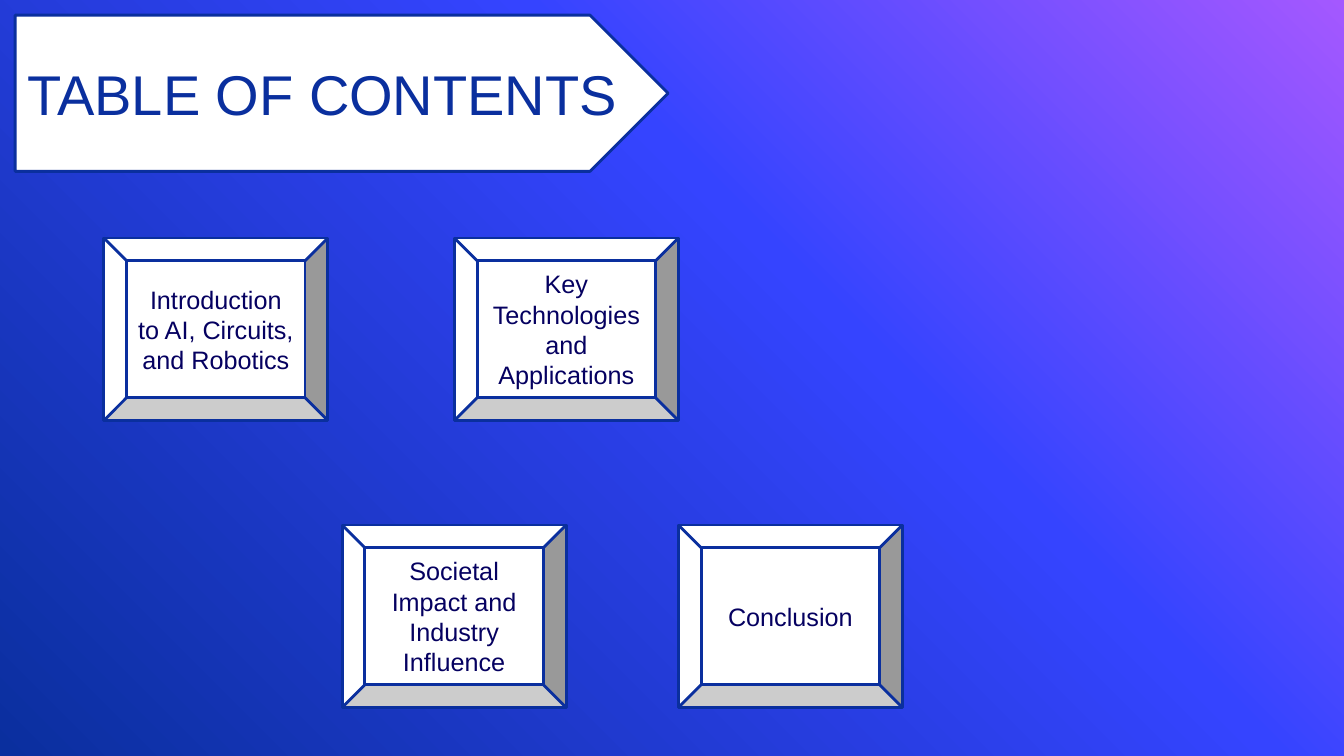
from copy import deepcopy

from pptx import Presentation
from pptx import util as u
from pptx.dml.color import RGBColor
from pptx.enum import shapes, text
from pptx.oxml.ns import qn

NAVY = "0A2F9E"
WHITE = "FFFFFF"
INK = "050060"


def color(value):
    return RGBColor.from_string(value)


def add_panel(page, kind, place, words, size, ink):
    box = page.shapes.add_shape(kind, *(u.Pt(length) for length in place))
    box.shadow.inherit = False
    box.fill.solid()
    box.fill.fore_color.rgb = color(WHITE)
    box.line.color.rgb = color(NAVY)
    box.line.width = u.Pt(2)
    frame = box.text_frame
    frame.word_wrap = True
    frame.vertical_anchor = text.MSO_ANCHOR.MIDDLE
    para = frame.paragraphs[0]
    para.alignment = text.PP_ALIGN.CENTER
    span = para.add_run()
    span.text = words
    span.font.name = "Arial"
    span.font.size = u.Pt(size)
    span.font.color.rgb = color(ink)


deck = Presentation()
deck.slide_width = u.Pt(960)
deck.slide_height = u.Pt(540)
page = deck.slides.add_slide(deck.slide_layouts[6])

# Background gradient, from the top right corner to the bottom left
fill = page.background.fill
fill.gradient()
fill.gradient_angle = 225
stop_list = next(page.element.iter(qn("a:gsLst")))
stop_list.append(deepcopy(stop_list[-1]))
stops = [(0, "A458FF"), (0.39, "3544FF"), (1, NAVY)]
for stop, (position, value) in zip(fill.gradient_stops, stops):
    stop.position = position
    stop.color.rgb = color(value)

# Title arrow
add_panel(page, shapes.MSO_SHAPE.PENTAGON, (10.8, 10.8, 466.5, 111.6),
          "TABLE OF CONTENTS", 40, NAVY)

# Topic buttons, two staggered rows
topics = [
    (74.2, 170, "Introduction to AI, Circuits, and Robotics"),
    (324.6, 170, "Key Technologies and Applications"),
    (244.4, 375, "Societal Impact and Industry Influence"),
    (484.6, 375, "Conclusion"),
]
for left, top, words in topics:
    add_panel(page, shapes.MSO_SHAPE.BEVEL, (left, top, 160, 130.3),
              words, 18, INK)

deck.save("out.pptx")
